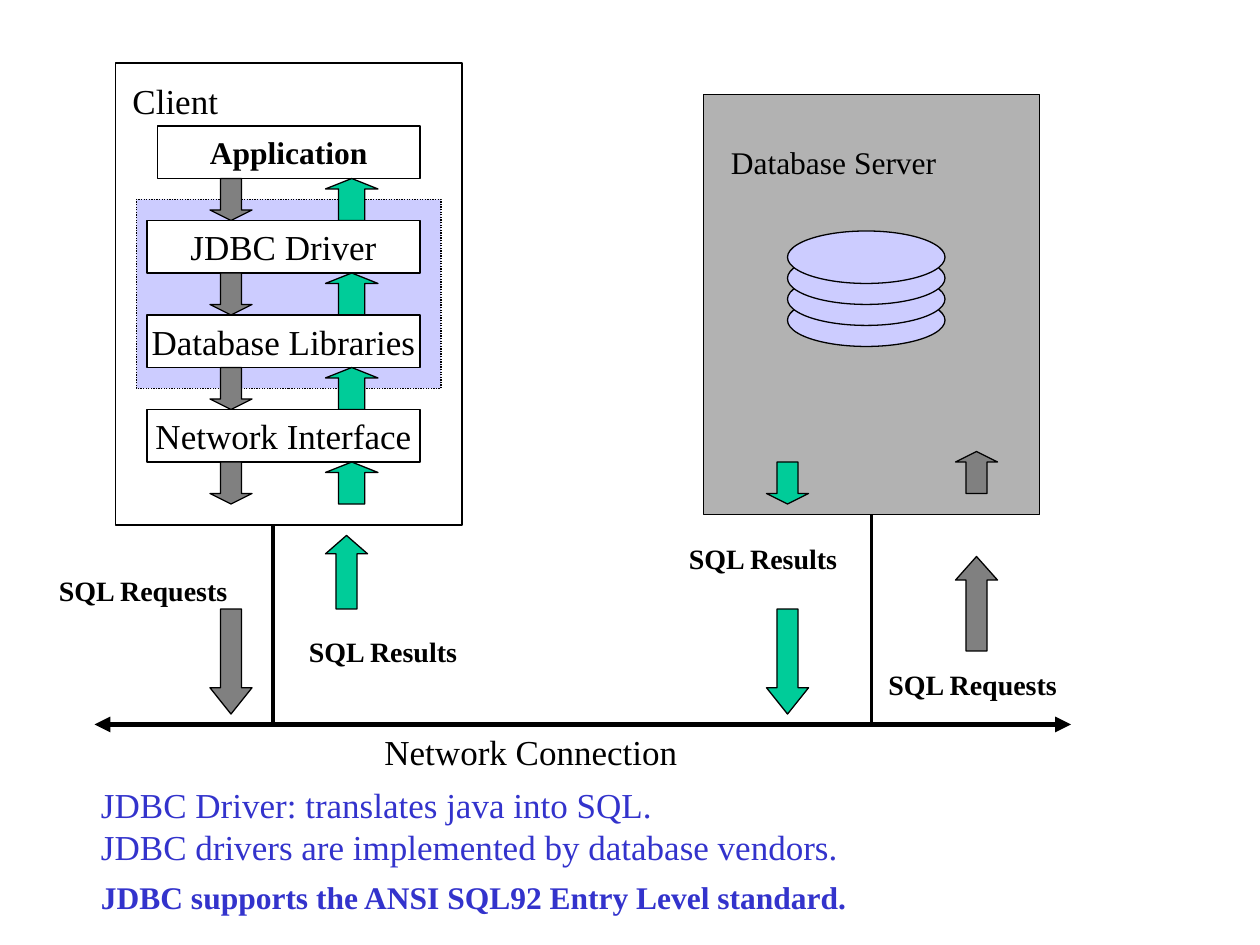
from pptx import Presentation
from pptx.dml.color import RGBColor
from pptx.enum.dml import MSO_LINE
from pptx.enum.shapes import MSO_CONNECTOR, MSO_SHAPE
from pptx.enum.text import MSO_ANCHOR, MSO_AUTO_SIZE, PP_ALIGN
from pptx.oxml.ns import qn
from pptx.util import Cm, Pt
from lxml.etree import SubElement

# Content: places are in grid cells, twelve to the inch
LAYERS = ["Application", "JDBC Driver", "Database Libraries", "Network Interface"]
LABELS = [  # text, left, top, width, style
    ("Client", 12, 7, 14, "text"),
    ("Database Server", 69, 13, 20.9, "small"),
    ("SQL Requests", 5, 54, 17.4, "label"),
    ("SQL Results", 28.8, 59.8, 15.5, "label"),
    ("SQL Results", 65, 51, 15.5, "label"),
    ("SQL Requests", 84, 63, 17.4, "label"),
    ("Network Connection", 36, 69, 29.3, "text"),
]
NOTES = [  # text, style, points above
    ("JDBC Driver: translates java into SQL.", "note", 0),
    ("JDBC drivers are implemented by database vendors.", "note", 0),
    ("JDBC supports the ANSI SQL92 Entry Level standard.", "strong", 6),
]
ARROWS = [  # way, colour, left, top, width, height
    ("down", "ask", 20, 58, 4, 10),
    ("up", "reply", 31, 51, 4, 7),
    ("down", "reply", 73, 44, 4, 4),
    ("down", "reply", 73, 58, 4, 10),
    ("up", "ask", 91, 43, 4, 4),
    ("up", "ask", 91, 53, 4, 9),
]
LINKS = [  # start, end, points wide, arrowheads
    ((26, 50), (26, 69), 2.25, False),
    ((83, 49), (83, 69), 2.25, False),
    ((9, 69), (102, 69), 3, True),
]

THEME = {
    "font": "Times New Roman",
    "color": {
        "ink": "000000", "note": "3333CC", "box": "FFFFFF", "server": "B2B2B2",
        "zone": "CCCCFF", "ask": "808080", "reply": "00CC99",
    },
    "style": {  # size, bold, colour
        "text": (20, False, "ink"), "small": (18, False, "ink"),
        "head": (18, True, "ink"), "label": (16, True, "ink"),
        "note": (20, False, "note"), "strong": (18, True, "note"),
    },
    "frame": {
        "margin_left": Cm(0.13), "margin_right": Cm(0.13),
        "margin_top": Cm(0.13), "margin_bottom": Cm(0.13),
    },
}
WAYS = {"down": MSO_SHAPE.DOWN_ARROW, "up": MSO_SHAPE.UP_ARROW}


def grid(*cells):
    return [Cm(cell * 2.54 / 12) for cell in cells]


def tint(name):
    return RGBColor.from_string(THEME["color"][name])


def apply(item, values):
    for name, value in values.items():
        setattr(item, name, value)


def write(para, text, style):
    size, bold, color = THEME["style"][style]
    run = para.add_run()
    run.text = text
    apply(run.font, {"name": THEME["font"], "size": Pt(size), "bold": bold})
    run.font.color.rgb = tint(color)


def draw(kind, place, fill=None):
    shape = slide.shapes.add_shape(kind, *grid(*place))
    shape.shadow.inherit = False
    if fill:
        shape.fill.solid()
        shape.fill.fore_color.rgb = tint(fill)
    else:
        shape.fill.background()
    shape.line.color.rgb = tint("ink")
    shape.line.width = Pt(0.75)
    return shape


def arrow(way, color, left, top, wide, high):
    shape = draw(WAYS[way], (left, top, wide, high), color)
    shape.adjustments[0] = 0.5
    shape.adjustments[1] = 0.25 * high / min(wide, high)  # head is a quarter


deck = Presentation()
apply(deck, {"slide_width": Cm(25.4), "slide_height": Cm(19.05)})
slide = deck.slides.add_slide(deck.slide_layouts[1])
title = slide.shapes.title.element
title.getparent().remove(title)

# Machines and driver zone
zone = draw(MSO_SHAPE.RECTANGLE, (13, 19, 29, 18), "zone")
zone.line.dash_style = MSO_LINE.ROUND_DOT
draw(MSO_SHAPE.RECTANGLE, (67, 9, 32, 40), "server")
draw(MSO_SHAPE.RECTANGLE, (11, 6, 33, 44))

# Client layers, each with a request and a reply arrow below
for row, name in enumerate(LAYERS):
    top, left = 12 + 9 * row, 14 if row else 15
    box = draw(MSO_SHAPE.RECTANGLE, (left, top, 40 - left, 5), "box")
    apply(box.text_frame, THEME["frame"])
    apply(box.text_frame, {"word_wrap": False, "vertical_anchor": MSO_ANCHOR.MIDDLE})
    para = box.text_frame.paragraphs[0]
    para.alignment = PP_ALIGN.CENTER
    write(para, name, "text" if row else "head")
    arrow("down", "ask", 20, top + 5, 4, 4)
    arrow("up", "reply", 31, top + 5, 5, 4)

# Database disks, lowest first
for top in range(28, 20, -2):
    draw(MSO_SHAPE.OVAL, (75, top, 15, 5), "zone")

for item in ARROWS:
    arrow(*item)

# Network lines
for start, end, width, heads in LINKS:
    link = slide.shapes.add_connector(MSO_CONNECTOR.STRAIGHT, *grid(*start, *end))
    link.line.color.rgb = tint("ink")
    link.line.width = Pt(width)
    if heads:
        for tag in ("a:headEnd", "a:tailEnd"):
            SubElement(link.line._get_or_add_ln(), qn(tag), type="triangle")
    SubElement(link.element.spPr, qn("a:effectLst"))

# Labels
for text, left, top, width, style in LABELS:
    high = THEME["style"][style][0] / 4.1
    label = slide.shapes.add_textbox(*grid(left, top, width, high))
    apply(label.text_frame, THEME["frame"])
    label.text_frame.word_wrap = False
    write(label.text_frame.paragraphs[0], text, style)

# Notes
body = slide.placeholders[1]
apply(body, dict(zip(("left", "top", "width", "height"), grid(9, 74, 81.5, 13.2))))
frame = body.text_frame
apply(frame, THEME["frame"])
apply(frame, {"word_wrap": True, "auto_size": MSO_AUTO_SIZE.NONE,
              "vertical_anchor": MSO_ANCHOR.TOP})
for spot, (text, style, above) in enumerate(NOTES):
    para = frame.add_paragraph() if spot else frame.paragraphs[0]
    apply(para, {"space_before": Pt(above), "alignment": PP_ALIGN.LEFT})
    props = para._p.get_or_add_pPr()
    props.set("marL", "0")
    props.set("indent", "0")
    SubElement(props, qn("a:buNone"))
    write(para, text, style)

deck.save("out.pptx")
